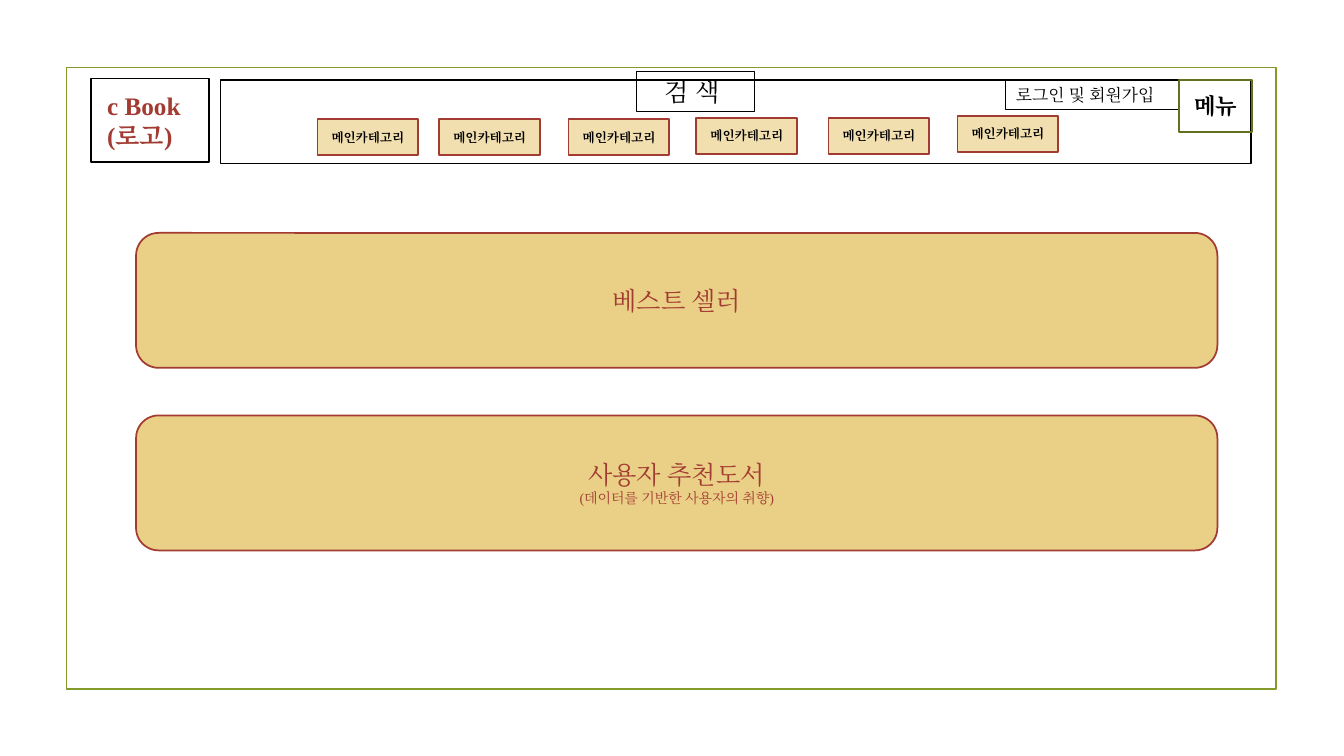
from dataclasses import dataclass

from lxml.etree import SubElement
from pptx import Presentation
from pptx.dml.color import RGBColor
from pptx.enum.lang import MSO_LANGUAGE_ID
from pptx.enum.shapes import MSO_SHAPE
from pptx.enum.text import MSO_ANCHOR, PP_ALIGN
from pptx.oxml.ns import qn
from pptx.util import Cm, Pt

FRAME = (1.68, 1.7, 30.48, 15.67)
LOGO = (2.29, 1.98, 2.97, 2.11)
LOGO_LINES = ["c Book", "(로고)"]
HEADER = (5.56, 2.01, 25.96, 2.11)
LOGIN = (25.35, 2.01, 4.37, 0.76)
LOGIN_TEXT = "로그인 및 회원가입"
MENU = (29.72, 2.01, 1.83, 1.32)
MENU_TEXT = "메뉴"
SEARCH = (16.05, 1.8, 2.97, 1.02)
SEARCH_TEXT = "검 색"

PANELS = [["베스트 셀러"], ["사용자 추천도서", "(데이터를 기반한 사용자의 취향)"]]
PANEL_LEFT, PANEL_TOP, PANEL_WIDTH, PANEL_HEIGHT = 3.43, 5.87, 27.25, 3.4
PANEL_GAP = 1.2

CATEGORY_TEXT = "메인카테고리"
CATEGORY_SIZE = (2.54, 0.91)
CATEGORY_CORNERS = [(8, 3), (11.07, 3), (14.33, 3), (17.55, 2.97), (20.88, 2.97), (24.13, 2.92)]


@dataclass(frozen=True)
class Theme:
    font: str = "Times New Roman"
    black: str = "000000"
    white: str = "FFFFFF"
    red: str = "A23C33"
    gold: str = "DEB340"
    green: str = "83992A"
    dark_green: str = "61711F"
    heading: int = 18
    menu: int = 16
    login: int = 12
    note: int = 10
    category: int = 9
    thin: float = 0.75
    line: float = 1.25
    panel_opacity: int = 63
    category_opacity: int = 41


THEME = Theme()


def add_box(slide, box, line_color, line_width=THEME.line, fill=None, opacity=100,
            preset=MSO_SHAPE.RECTANGLE):
    shape = slide.shapes.add_shape(preset, *(Cm(length) for length in box))
    shape.shadow.inherit = False
    shape.line.color.rgb = RGBColor.from_string(line_color)
    shape.line.width = Pt(line_width)
    if fill is None:
        shape.fill.background()
        return shape
    shape.fill.solid()
    shape.fill.fore_color.rgb = RGBColor.from_string(fill)
    if opacity < 100:
        color = next(shape.fill._xPr.iter(qn("a:srgbClr")))
        SubElement(color, qn("a:alpha")).set("val", str(opacity * 1000))
    return shape


def write_lines(shape, lines, sizes, color=THEME.black, bold=False,
                alignment=PP_ALIGN.CENTER, anchor=MSO_ANCHOR.MIDDLE):
    frame = shape.text_frame
    frame.word_wrap = True
    frame.vertical_anchor = anchor
    for index, (text, size) in enumerate(zip(lines, sizes)):
        paragraph = frame.add_paragraph() if index else frame.paragraphs[0]
        paragraph.alignment = alignment
        run = paragraph.add_run()
        run.text = text
        font = run.font
        font.name = THEME.font
        font.size = Pt(size)
        font.bold = bold
        font.color.rgb = RGBColor.from_string(color)
        font.language_id = MSO_LANGUAGE_ID.KOREAN
        east_asian = SubElement(run._r.get_or_add_rPr(), qn("a:ea"))
        east_asian.set("typeface", THEME.font)


def add_header(slide):
    logo = add_box(slide, LOGO, THEME.black, fill=THEME.white)
    logo.text_frame.margin_left = Cm(0.41)
    write_lines(logo, LOGO_LINES, [THEME.heading] * 2, THEME.red, True, PP_ALIGN.LEFT)
    add_box(slide, HEADER, THEME.black)
    login = add_box(slide, LOGIN, THEME.black, THEME.thin)
    write_lines(login, [LOGIN_TEXT], [THEME.login], alignment=PP_ALIGN.LEFT,
                anchor=MSO_ANCHOR.TOP)
    menu = add_box(slide, MENU, THEME.dark_green)
    write_lines(menu, [MENU_TEXT], [THEME.menu], bold=True)


def add_panels(slide):
    for index, lines in enumerate(PANELS):
        top = PANEL_TOP + index * (PANEL_HEIGHT + PANEL_GAP)
        panel = add_box(slide, (PANEL_LEFT, top, PANEL_WIDTH, PANEL_HEIGHT), THEME.red,
                        fill=THEME.gold, opacity=THEME.panel_opacity,
                        preset=MSO_SHAPE.ROUNDED_RECTANGLE)
        write_lines(panel, lines, [THEME.heading, THEME.note], THEME.red)


def add_categories(slide):
    for corner in CATEGORY_CORNERS:
        category = add_box(slide, corner + CATEGORY_SIZE, THEME.red,
                           fill=THEME.gold, opacity=THEME.category_opacity)
        write_lines(category, [CATEGORY_TEXT], [THEME.category], bold=True)


def add_search(slide):
    search = add_box(slide, SEARCH, THEME.black, THEME.thin)
    search.text_frame.margin_right = Cm(0.43)
    write_lines(search, [SEARCH_TEXT], [THEME.heading], anchor=MSO_ANCHOR.TOP)


def main():
    presentation = Presentation()
    presentation.slide_width = Cm(33.87)
    presentation.slide_height = Cm(19.05)
    slide = presentation.slides.add_slide(presentation.slide_layouts[6])
    add_box(slide, FRAME, THEME.green)
    add_header(slide)
    add_panels(slide)
    add_categories(slide)
    add_search(slide)
    presentation.save("out.pptx")


if __name__ == "__main__":
    main()
